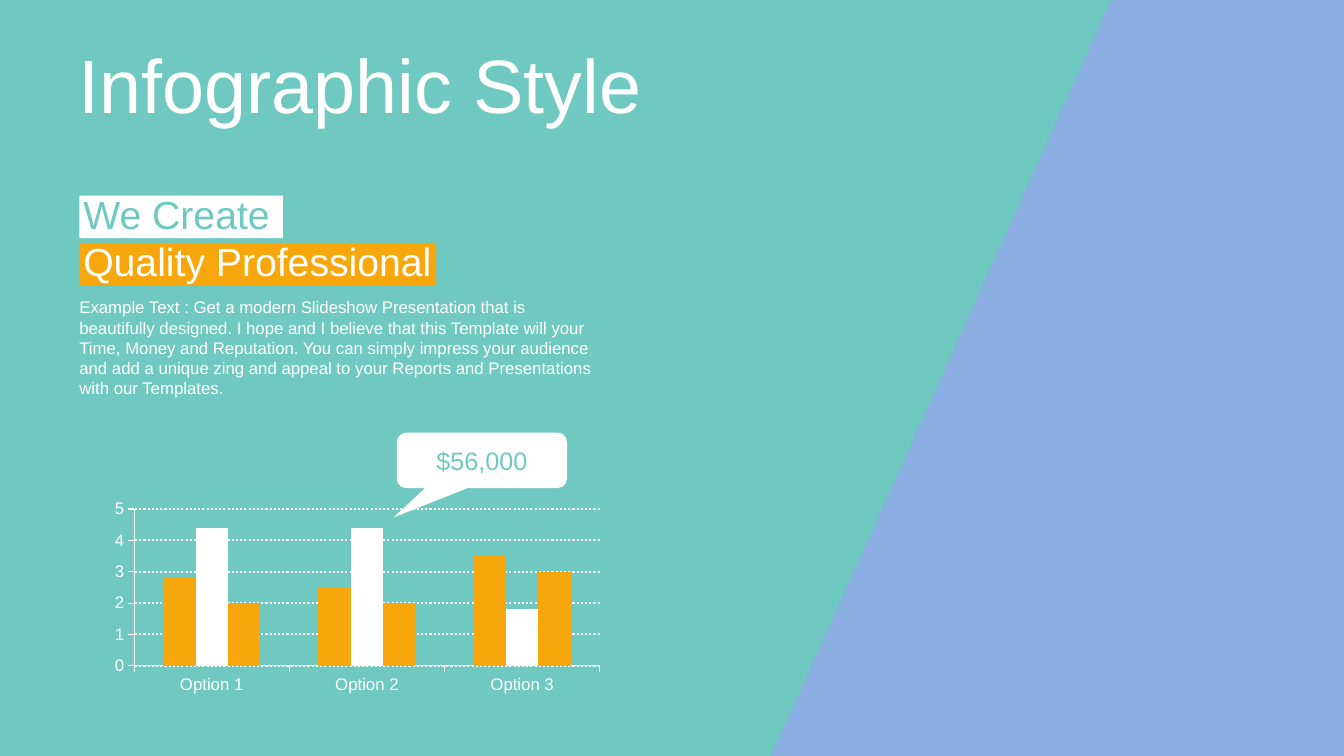
from pptx import Presentation
from pptx.chart.data import CategoryChartData
from pptx.dml.color import RGBColor
from pptx.enum.chart import XL_CHART_TYPE, XL_TICK_MARK
from pptx.enum.dml import MSO_LINE
from pptx.enum.shapes import MSO_SHAPE
from pptx.enum.text import MSO_ANCHOR, PP_ALIGN
from pptx.util import Cm, Pt

TEAL, BLUE, ORANGE, WHITE = "6FC9C1", "8AAEE2", "F7A60B", "FFFFFF"
DESCRIPTION = (
    "Example Text : Get a modern Slideshow Presentation that is beautifully designed. "
    "I hope and I believe that this Template will your Time, Money and Reputation. "
    "You can simply impress your audience and add a unique zing and appeal to your "
    "Reports and Presentations with our Templates."
)


def paint(target, color):
    target.solid()
    target.fore_color.rgb = RGBColor.from_string(color)


def assign(target, values):
    for name, value in values.items():
        setattr(target, name, value)


class SlideBuilder:
    font_name = "Arial"

    def __init__(self, page):
        self.page = page

    def style_font(self, font, size, color):
        assign(font, {"name": self.font_name, "size": Pt(size), "bold": False})
        paint(font.fill, color)

    def fill_text(self, box, text, size, color, inset=(0.25, 0.13), anchor=MSO_ANCHOR.TOP,
                  align=PP_ALIGN.LEFT, spacing=None):
        side, edge = map(Cm, inset)
        frame = box.text_frame
        assign(frame, {"word_wrap": True, "vertical_anchor": anchor,
                       "margin_left": side, "margin_right": side,
                       "margin_top": edge, "margin_bottom": edge})
        para = frame.paragraphs[0]
        assign(para, {"alignment": align, "line_spacing": spacing, "space_before": Pt(0)})
        span = para.add_run()
        span.text = text
        self.style_font(span.font, size, color)

    def title(self, text, place, size, color):
        box = self.page.shapes.title
        assign(box, dict(zip(("left", "top", "width", "height"), map(Cm, place))))
        self.fill_text(box, text, size, color, anchor=MSO_ANCHOR.MIDDLE, spacing=0.9)

    def finish(self, shape, color):
        shape.shadow.inherit = False
        paint(shape.fill, color)
        shape.line.fill.background()
        return shape

    def panel(self, points, color):
        corners = [(Cm(x), Cm(y)) for x, y in points]
        outline = self.page.shapes.build_freeform(*corners[0])
        outline.add_line_segments(corners[1:], close=True)
        panel = self.finish(outline.convert_to_shape(), color)
        self.page.shapes.title._element.addprevious(panel._element)

    def shape(self, kind, place, color):
        return self.finish(self.page.shapes.add_shape(kind, *map(Cm, place)), color)

    def text(self, text, place, size, color):
        box = self.page.shapes.add_textbox(*map(Cm, place))
        self.fill_text(box, text, size, color, inset=(0, 0))

    def column_chart(self, place, categories, series, size, color):
        data = CategoryChartData()
        data.categories = categories
        for name, values, _ in series:
            data.add_series(name, values)
        chart = self.page.shapes.add_chart(
            XL_CHART_TYPE.COLUMN_CLUSTERED, *map(Cm, place), data).chart
        assign(chart, {"has_legend": False, "has_title": False})
        self.style_font(chart.font, size, color)
        plot = chart.plots[0]
        assign(plot, {"gap_width": 180, "overlap": 0, "vary_by_categories": False})
        for column, (_, _, fill) in zip(plot.series, series):
            paint(column.format.fill, fill)
        for axis in (chart.category_axis, chart.value_axis):
            axis.major_tick_mark = XL_TICK_MARK.OUTSIDE
            self.style_font(axis.tick_labels.font, size, color)
            axis.format.line.width = Pt(0.75)
            paint(axis.format.line.fill, color)
        assign(chart.value_axis, {"minimum_scale": 0, "maximum_scale": 5,
                                  "major_unit": 1, "has_major_gridlines": True})
        grid = chart.value_axis.major_gridlines.format.line
        paint(grid.fill, color)
        assign(grid, {"width": Pt(1.5), "dash_style": MSO_LINE.ROUND_DOT})


def main():
    deck = Presentation()
    assign(deck, {"slide_width": Cm(33.87), "slide_height": Cm(19.05)})
    page = deck.slides.add_slide(deck.slide_layouts[5])
    paint(page.background.fill, BLUE)
    builder = SlideBuilder(page)

    builder.panel([(0, 0), (28, 0), (19.43, 19.05), (0, 19.05)], TEAL)
    builder.title("Infographic Style", (1.73, 1.07, 17.3, 2.34), 54, WHITE)

    banners = [("We Create", 4.93, 5.13, WHITE, TEAL),
               ("Quality Professional", 6.12, 8.99, ORANGE, WHITE)]
    for text, top, width, fill, color in banners:
        banner = builder.shape(MSO_SHAPE.RECTANGLE, (2, top, width, 1.07), fill)
        builder.fill_text(banner, text, 28, color, inset=(0.1, 0), spacing=Pt(30))

    builder.text(DESCRIPTION, (2, 7.49, 13.18, 2.57), 12, WHITE)
    builder.column_chart(
        (2.64, 12.5, 12.73, 5.08), ["Option 1", "Option 2", "Option 3"],
        [("Series 1", (2.8, 2.5, 3.5), ORANGE),
         ("Series 2", (4.4, 4.4, 1.8), WHITE),
         ("Series 3", (2, 2, 3), ORANGE)], 12, WHITE)

    callout = builder.shape(MSO_SHAPE.ROUNDED_RECTANGULAR_CALLOUT, (10, 10.9, 4.29, 1.4), WHITE)
    for index, value in enumerate((-0.52, 1.03, 0.17)):
        callout.adjustments[index] = value
    builder.fill_text(callout, "$56,000", 18, TEAL, anchor=MSO_ANCHOR.MIDDLE,
                      align=PP_ALIGN.CENTER)

    deck.save("out.pptx")


if __name__ == "__main__":
    main()
